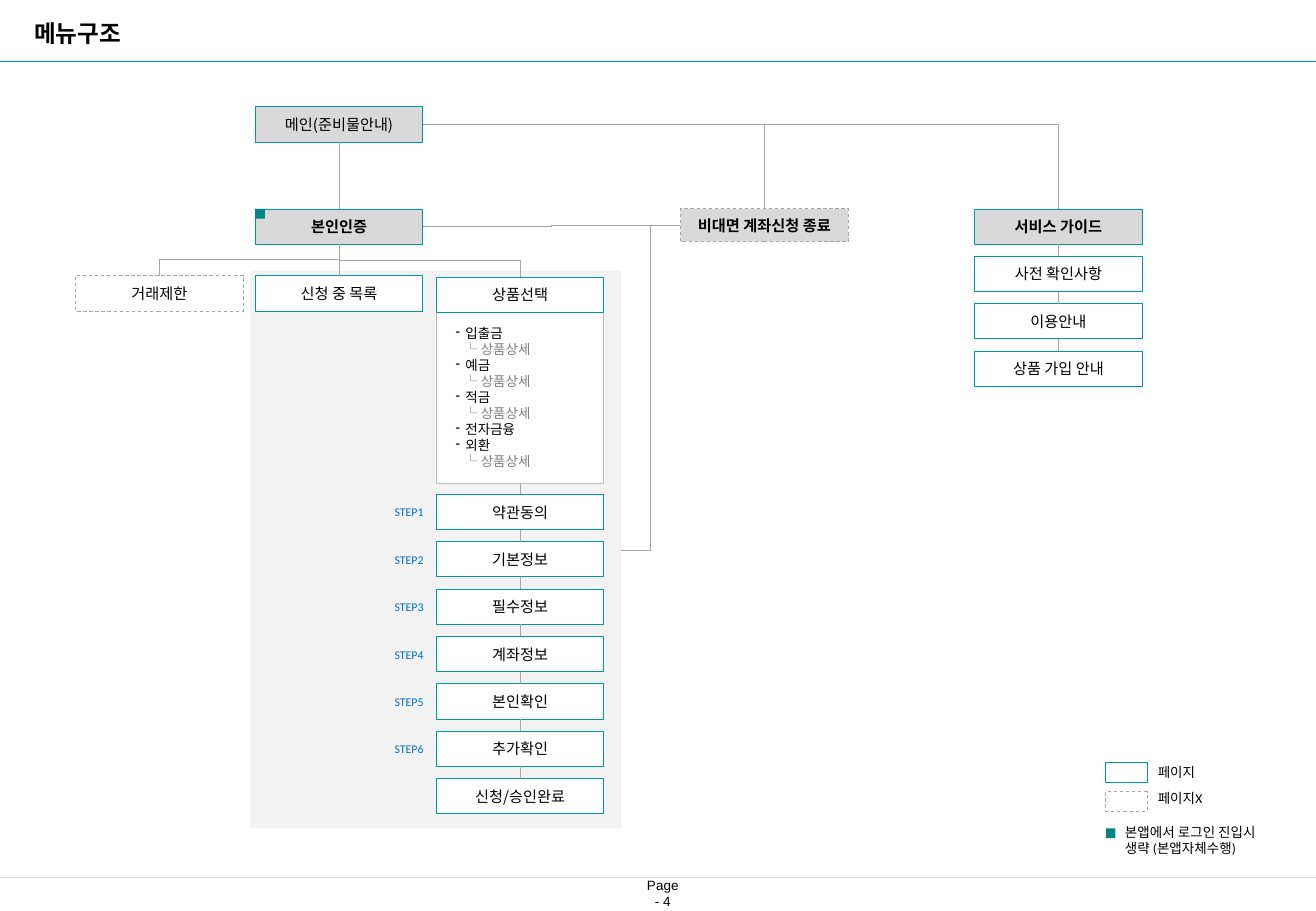
from dataclasses import dataclass
from itertools import pairwise

from lxml.etree import SubElement
from pptx import Presentation
from pptx.dml.color import RGBColor
from pptx.enum.dml import MSO_LINE
from pptx.enum.shapes import MSO_CONNECTOR as LINK, MSO_SHAPE as SHAPE
from pptx.enum.text import MSO_ANCHOR as ANCHOR, PP_ALIGN as ALIGN
from pptx.oxml.ns import qn
from pptx.util import Emu, Pt

PX = 9144  # one hundredth of an inch
KOREAN = "Noto Sans CJK KR"
TEAL, BADGE, WIRE = "009999", "008485", "A6A6A6"
WHITE, GREY, BLACK = "FFFFFF", "D9D9D9", "000000"
NODE_WIDTH, NODE_HEIGHT, PITCH = 138, 29, 39
STEP_LEFT, STEP_TOP = 359, 407
GUIDE_LEFT, GUIDE_TOP = 802, 172


@dataclass(frozen=True)
class Box:
    left: int
    top: int
    width: int = NODE_WIDTH
    height: int = NODE_HEIGHT
    fill: str = WHITE
    line: str | None = TEAL
    dashed: bool = False
    text: str = ""
    bold: bool = False
    font: str = KOREAN


@dataclass(frozen=True)
class Label:
    left: int
    top: int
    width: int
    height: int
    lines: tuple[str, ...]
    size: int = 8
    font: str = "Calibri"
    color: str = BLACK
    bold: bool = False
    wrap: bool = True
    anchor: ANCHOR = ANCHOR.TOP
    align: ALIGN = ALIGN.LEFT
    inset: int = 10
    spacing: float | None = None


def px(length: float) -> Emu:
    return Emu(round(length * PX))


def rgb(color: str) -> RGBColor:
    return RGBColor.from_string(color)


def style_para(para, size: int, font: str, color: str, bold: bool = False) -> None:
    para.font.size, para.font.name, para.font.bold = Pt(size), font, bold
    para.font.color.rgb = rgb(color)
    SubElement(para._p.pPr.find(qn("a:defRPr")), qn("a:ea"), typeface=KOREAN)


def draw_box(slide, box: Box):
    shape = slide.shapes.add_shape(
        SHAPE.RECTANGLE, px(box.left), px(box.top), px(box.width), px(box.height))
    shape.shadow.inherit = False
    shape.fill.solid()
    shape.fill.fore_color.rgb = rgb(box.fill)
    if box.line:
        shape.line.color.rgb = rgb(box.line)
        shape.line.width = Pt(0.5)
        if box.dashed:
            shape.line.dash_style = MSO_LINE.DASH
    else:
        shape.line.fill.background()
    frame = shape.text_frame
    frame.margin_left = frame.margin_right = frame.margin_top = frame.margin_bottom = 0
    frame.vertical_anchor = ANCHOR.MIDDLE
    if box.text:
        para = frame.paragraphs[0]
        para.text, para.alignment = box.text, ALIGN.CENTER
        style_para(para, 9, box.font, BLACK, box.bold)
    return shape


def draw_label(slide, label: Label) -> None:
    frame = slide.shapes.add_textbox(
        px(label.left), px(label.top), px(label.width), px(label.height)).text_frame
    frame.word_wrap, frame.vertical_anchor = label.wrap, label.anchor
    frame.margin_left = frame.margin_right = px(label.inset)
    frame.margin_top = frame.margin_bottom = px(5)
    for index, line in enumerate(label.lines):
        para = frame.add_paragraph() if index else frame.paragraphs[0]
        para.text, para.alignment = line, label.align
        if label.spacing:
            para.line_spacing = Pt(label.spacing)
        style_para(para, label.size, label.font, label.color, label.bold)


def draw_line(slide, kind: LINK, start: tuple[float, float], end: tuple[float, float],
              color: str = WIRE, width: float = 0.5):
    line = slide.shapes.add_connector(kind, *map(px, start + end))
    line.line.color.rgb = rgb(color)
    line.line.width = Pt(width)
    SubElement(line._element.spPr, qn("a:effectLst"))
    return line


def join(slide, kind: LINK, first, first_side: int, second, second_side: int,
         width: float = 0.5):
    """Glue a connector to the side middles of two boxes."""
    line = draw_line(slide, kind, (0, 0), (0, 0), width=width)
    line.begin_connect(first, first_side)
    line.end_connect(second, second_side)
    return line


def branch_down(slide, start: tuple[float, float], end: tuple[float, float]) -> None:
    """Elbow that leaves downwards: a level elbow turned a quarter about its centre."""
    center_x, center_y = (start[0] + end[0]) / 2, (start[1] + end[1]) / 2
    half_x, half_y = (end[0] - start[0]) / 2, (end[1] - start[1]) / 2
    elbow = draw_line(slide, LINK.ELBOW, (center_x - half_y, center_y + half_x),
                      (center_x + half_y, center_y - half_x))
    elbow._element.spPr.xfrm.set("rot", "5400000")


def fill_product_menu(shape) -> None:
    frame = shape.text_frame
    frame.margin_left = px(16)
    products = (("입출금", True), ("예금", True), ("적금", True),
                ("전자금융", False), ("외환", True))
    lines = []
    for product, has_detail in products:
        lines.append((product, 8, -8, "-", BLACK))
        if has_detail:
            lines.append(("└ 상품상세", 7, 0, None, "808080"))
    for index, (text, margin, indent, bullet, color) in enumerate(lines):
        para = frame.add_paragraph() if index else frame.paragraphs[0]
        para.text, para.alignment, para.line_spacing = text, ALIGN.LEFT, Pt(9.5)
        props = para._p.get_or_add_pPr()
        props.set("marL", str(px(margin)))
        props.set("indent", str(px(indent)))
        if bullet:
            SubElement(props, qn("a:buChar"), char=bullet)
        style_para(para, 8, KOREAN, color)


def draw_stack(slide, left: int, top: int, names: tuple[str, ...]) -> list:
    return [draw_box(slide, Box(left, top + PITCH * index, text=name))
            for index, name in enumerate(names)]


def main() -> None:
    deck = Presentation()
    deck.slide_width, deck.slide_height = px(1083), px(750)
    slide = deck.slides.add_slide(deck.slide_layouts[6])

    draw_line(slide, LINK.STRAIGHT, (0, 722), (1083, 722), GREY)
    draw_line(slide, LINK.STRAIGHT, (0, 51), (1083, 51), TEAL)
    draw_box(slide, Box(206, 223, 305, 459, "F2F2F2", None))

    start = draw_box(slide, Box(210, 88, fill=GREY, text="메인(준비물안내)"))
    verify = draw_box(slide, Box(210, 172, fill=GREY, text="본인인증", bold=True))
    finish = draw_box(slide, Box(560, 172, height=27, fill=GREY, line=WIRE, dashed=True,
                                 text="비대면 계좌신청 종료", bold=True))
    guide = draw_box(slide, Box(GUIDE_LEFT, GUIDE_TOP, fill=GREY,
                                text="서비스 가이드", bold=True))
    draw_box(slide, Box(62, 227, line=WIRE, dashed=True, text="거래제한", font="Arial"))
    pending = draw_box(slide, Box(210, 227, text="신청 중 목록", font="Arial"))
    menu = draw_box(slide, Box(STEP_LEFT, 256, height=142, line="BFBFBF"))
    fill_product_menu(menu)
    draw_box(slide, Box(STEP_LEFT, 228, text="상품선택"))
    guides = draw_stack(slide, GUIDE_LEFT, GUIDE_TOP + PITCH,
                        ("사전 확인사항", "이용안내", "상품 가입 안내"))
    steps = draw_stack(slide, STEP_LEFT, STEP_TOP,
                       ("약관동의", "기본정보", "필수정보", "계좌정보",
                        "본인확인", "추가확인", "신청/승인완료"))

    for chain in ([guide, *guides], [menu, *steps]):
        for upper, lower in pairwise(chain):
            join(slide, LINK.STRAIGHT, upper, 2, lower, 0, 0.25)
    for upper, lower in pairwise((start, verify, pending)):
        join(slide, LINK.STRAIGHT, upper, 2, lower, 0)
    for target in (finish, guide):
        corner = join(slide, LINK.ELBOW, start, 3, target, 0)
        corner._element.spPr.prstGeom.set("prst", "bentConnector2")
    join(slide, LINK.ELBOW, verify, 3, finish, 1)
    draw_line(slide, LINK.ELBOW, (511, 453), (560, 186)).end_connect(finish, 1)
    for child in ((131, 227), (428, 228)):
        branch_down(slide, (279, 201), child)

    for left, top in ((210, 172), (910, 682)):
        draw_box(slide, Box(left, top, 8, 8, BADGE, None))
    draw_box(slide, Box(910, 628, 34, 16))
    draw_box(slide, Box(910, 652, 34, 16, line=WIRE, dashed=True))

    labels = [
        Label(17, 10, 875, 34, ("메뉴구조",), 14, "Arial", bold=True,
              anchor=ANCHOR.MIDDLE, inset=11),
        Label(522, 721, 47, 29, ("Page - 4",), font="Arial", wrap=False,
              anchor=ANCHOR.MIDDLE, align=ALIGN.CENTER),
        Label(943, 624, 67, 24, ("페이지",), spacing=9.5),
        Label(943, 646, 67, 24, ("페이지X",), spacing=9.5),
        Label(916, 674, 157, 37, ("본앱에서 로그인 진입시", "생략 (본앱자체수행)"),
              spacing=9.5),
    ]
    labels += [Label(315, STEP_TOP + 4 + PITCH * index, 50, 22, (f"STEP{index + 1}",),
                     7, color="0070C0", wrap=False) for index in range(6)]
    for label in labels:
        draw_label(slide, label)

    deck.save("out.pptx")


if __name__ == "__main__":
    main()
